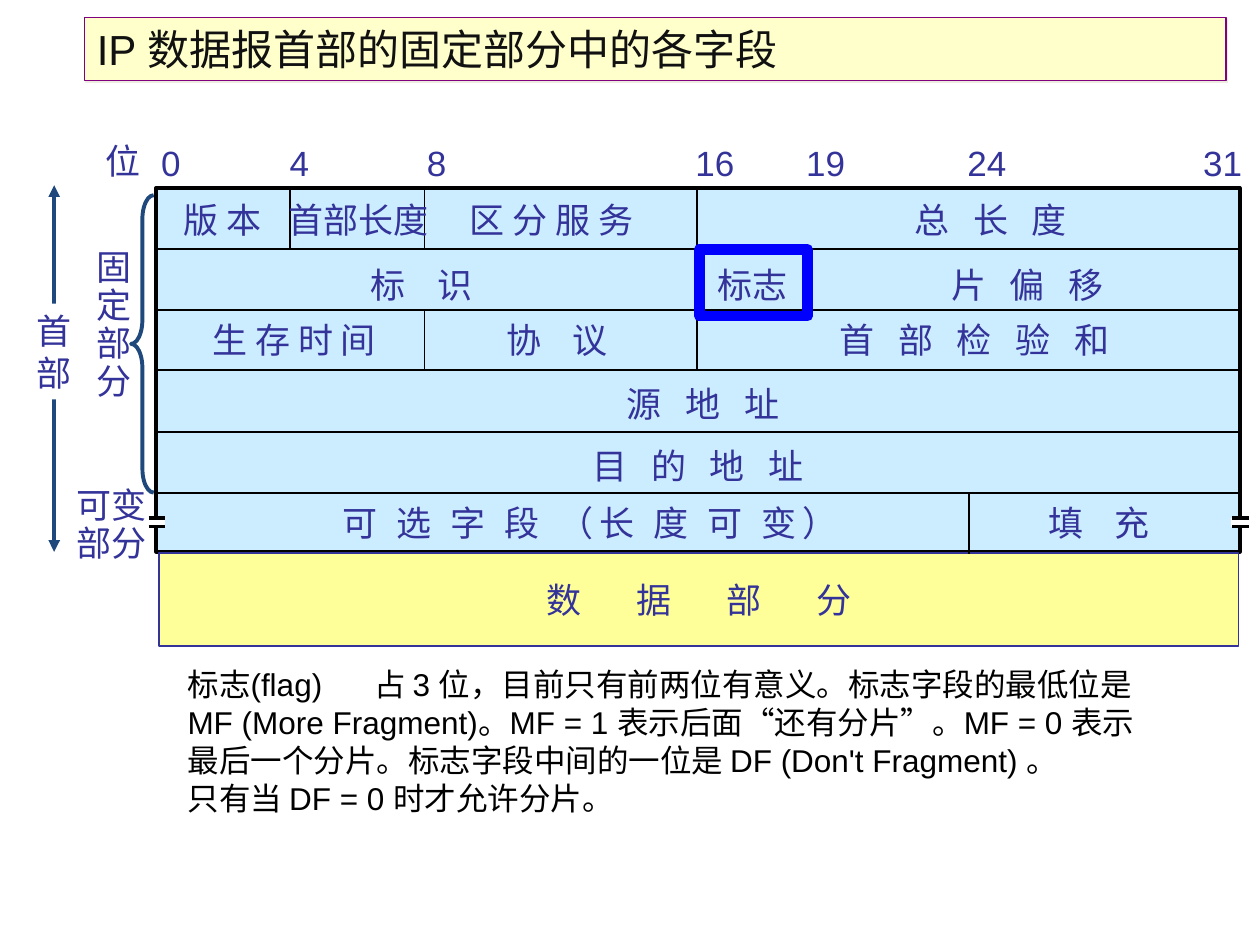
from lxml.etree import SubElement
from pptx import Presentation
from pptx.dml.color import RGBColor
from pptx.enum.shapes import MSO_CONNECTOR, MSO_SHAPE
from pptx.enum.text import PP_ALIGN
from pptx.oxml.ns import qn
from pptx.util import Inches, Pt

LEFT, TOP, WIDE, HIGH = 1.24, 1.49, 8.6, 2.89
RIGHT = 9.84
ROW = 0.485
EDGE = {0: LEFT, 4: 2.3, 8: 3.37, 16: 5.53, 19: 6.41, 24: 7.69, 32: RIGHT}
TICKS = {0: 1.18, 4: 2.2, 8: 3.29, 16: 5.42, 19: 6.3, 24: 7.58, 31: 9.45}
DROP = (0.04, 0.07, 0.02, 0.04, 0.05, 0.02)
INK, BLACK, STEEL = "333399", "000000", "1F497D"

# row, first bit, end bit, text, letter gap in points, shift in inches
FIELDS = [
    (0, 0, 4, "版 本", 0, 0),
    (0, 4, 8, "首部长度", 0, 0.01),
    (0, 8, 16, "区 分 服 务", 0, -0.07),
    (0, 16, 32, "总 长 度", 4.5, 0.18),
    (1, 0, 16, "标 识", 6.75, -0.04),
    (1, 16, 19, "标志", 0, 0),
    (1, 19, 32, "片 偏 移", 4.5, 0.03),
    (2, 0, 8, "生 存 时 间", 0, 0.03),
    (2, 8, 16, "协 议", 6.75, -0.03),
    (2, 16, 32, "首 部 检 验 和", 4.5, 0.05),
    (3, 0, 32, "源 地 址", 4.5, 0.04),
    (4, 0, 32, "目 的 地 址", 4.5, 0),
    (5, 0, 24, "可 选 字 段 （长 度 可 变）", 3.2, 0.22),
    (5, 24, 32, "填 充", 6.75, -0.04),
]
# bit, first row, number of rows
WALLS = [(4, 0, 1), (8, 0, 1), (8, 2, 1), (16, 0, 3), (19, 1, 1), (24, 5, 1)]

NOTE = """标志(flag)\t占 3 位，目前只有前两位有意义。标志字段的最低位是
MF (More Fragment)。MF = 1 表示后面“还有分片”。MF = 0 表示
最后一个分片。标志字段中间的一位是 DF (Don't Fragment) 。
只有当 DF = 0 时才允许分片。"""


def tint(code):
    return RGBColor.from_string(code)


def draw(host, box, fill=None, edge=None, width=1, kind=MSO_SHAPE.RECTANGLE):
    shape = host.add_shape(kind, *map(Inches, box))
    shape.shadow.inherit = False
    for part, code in ((shape.fill, fill), (shape.line.fill, edge)):
        if code:
            part.solid()
            part.fore_color.rgb = tint(code)
        else:
            part.background()
    if edge:
        shape.line.width = Pt(width)
    return shape


def rule(host, start, end, width=1, code=BLACK):
    line = host.add_connector(MSO_CONNECTOR.STRAIGHT, *map(Inches, start + end))
    line.line.width = Pt(width)
    line.line.color.rgb = tint(code)
    SubElement(line._element.spPr, qn("a:effectLst"))
    return line


def write(shape, text, size=20, code=INK, gap=0, lead=None, wrap=False,
          align=PP_ALIGN.LEFT, tab=None):
    """Fill a shape with one paragraph for each line of text."""
    frame = shape.text_frame
    frame.word_wrap = wrap
    for i, words in enumerate(text.split("\n")):
        para = frame.add_paragraph() if i else frame.paragraphs[0]
        look = {"alignment": align, "line_spacing": lead}
        for key, value in look.items():
            setattr(para, key, value)
        if tab:
            stops = SubElement(para._p.get_or_add_pPr(), qn("a:tabLst"))
            SubElement(stops, qn("a:tab"), pos=str(Inches(tab)), algn="l")
        run = para.add_run()
        run.text = words
        for key, value in {"name": "Arial", "size": Pt(size)}.items():
            setattr(run.font, key, value)
        run.font.color.rgb = tint(code)
        if gap:
            run._r.get_or_add_rPr().set("spc", str(round(gap * 100)))


def note(host, box, text, **look):
    write(host.add_textbox(*map(Inches, box)), text, **look)


def label(host, mid, top, text, gap=0):
    """Centre a text box, as wide as its letters, on mid."""
    blanks = text.count(" ")
    points = 20 * (len(text) - blanks) + 4.5 * blanks + gap * len(text)
    span = 0.2 + points / 72
    note(host, (mid - span / 2, top, span, 0.43), text, gap=gap,
         align=PP_ALIGN.CENTER)


def grid(host):
    """Draw the header block with its rows, walls and field names."""
    block = draw(host, (LEFT, TOP, WIDE, HIGH), "CCECFF", BLACK, 2)
    draw(host, (1.26, 4.39, 8.57, 0.74), "FFFF99", INK)
    for i in range(1, 6):
        y = TOP + i * ROW
        line = rule(host, (LEFT, y), (RIGHT, y))
        if i == 3:
            line.begin_connect(block, 1)
            line.end_connect(block, 3)
    for bit, row, count in WALLS:
        y = TOP + row * ROW
        rule(host, (EDGE[bit], y), (EDGE[bit], y + count * ROW))
    for bit, x in TICKS.items():
        note(host, (x, 1.07, 0.35 if bit < 10 else 0.51, 0.43), str(bit))
    for row, first, last, text, gap, shift in FIELDS:
        mid = (EDGE[first] + EDGE[last]) / 2 + shift
        label(host, mid, TOP + row * ROW + DROP[row], text, gap)
    label(host, 5.55, 4.54, "数 据 部 分", 13.5)


def split(host, x):
    """Mark a break in the side of the block."""
    group = host.add_group_shape().shapes
    draw(group, (x, 4.11, 0.14, 0.07), "FFFFFF")
    for y in (4.11, 4.18):
        rule(group, (x + 0.01, y), (x + 0.14, y), 2)


def side(host):
    """Draw the arrow, brace and names to the left of the block."""
    arrow = rule(host, (0.43, 1.47), (0.43, 4.38), 2.25, STEEL)
    for end in ("a:headEnd", "a:tailEnd"):
        SubElement(arrow.line._get_or_add_ln(), qn(end), type="triangle")
    write(draw(host, (0.19, 2.41, 0.48, 0.76), "FFFFFF"), "首\n部")
    note(host, (0.74, 1.06, 0.48, 0.43), "位")
    note(host, (0.67, 1.94, 0.48, 1.3), "固\n定\n部\n分", lead=0.9)
    note(host, (0.51, 3.83, 0.76, 0.7), "可变\n部分", lead=0.9)
    brace = draw(host, (1.04, 1.55, 0.18, 2.36), None, STEEL, 2.25,
                 MSO_SHAPE.LEFT_BRACE)
    brace.adjustments[0] = 1.05


def title(host):
    bar = draw(host, (0.67, 0.14, 9.06, 0.5), "FFFFCC", "800080", 0.75)
    write(bar, "IP 数据报首部的固定部分中的各字段", 24, "111111", wrap=True)
    glow = SubElement(bar._element.spPr.find(qn("a:effectLst")),
                      qn("a:outerShdw"), dist=str(Pt(1.4)), dir="2700000")
    SubElement(glow, qn("a:srgbClr"), val="EEECE1")


def main():
    deck = Presentation()
    deck.slide_width, deck.slide_height = Inches(10), Inches(7.5)
    host = deck.slides.add_slide(deck.slide_layouts[6]).shapes
    grid(host)
    side(host)
    for x in (1.17, 9.77):
        split(host, x)
    note(host, (1.39, 5.23, 8.12, 1.3), NOTE, size=18, code=BLACK, tab=1.48)
    draw(host, (5.55, 1.98, 0.86, 0.53), None, "0000FF", 6)
    title(host)
    deck.save("out.pptx")


if __name__ == "__main__":
    main()
